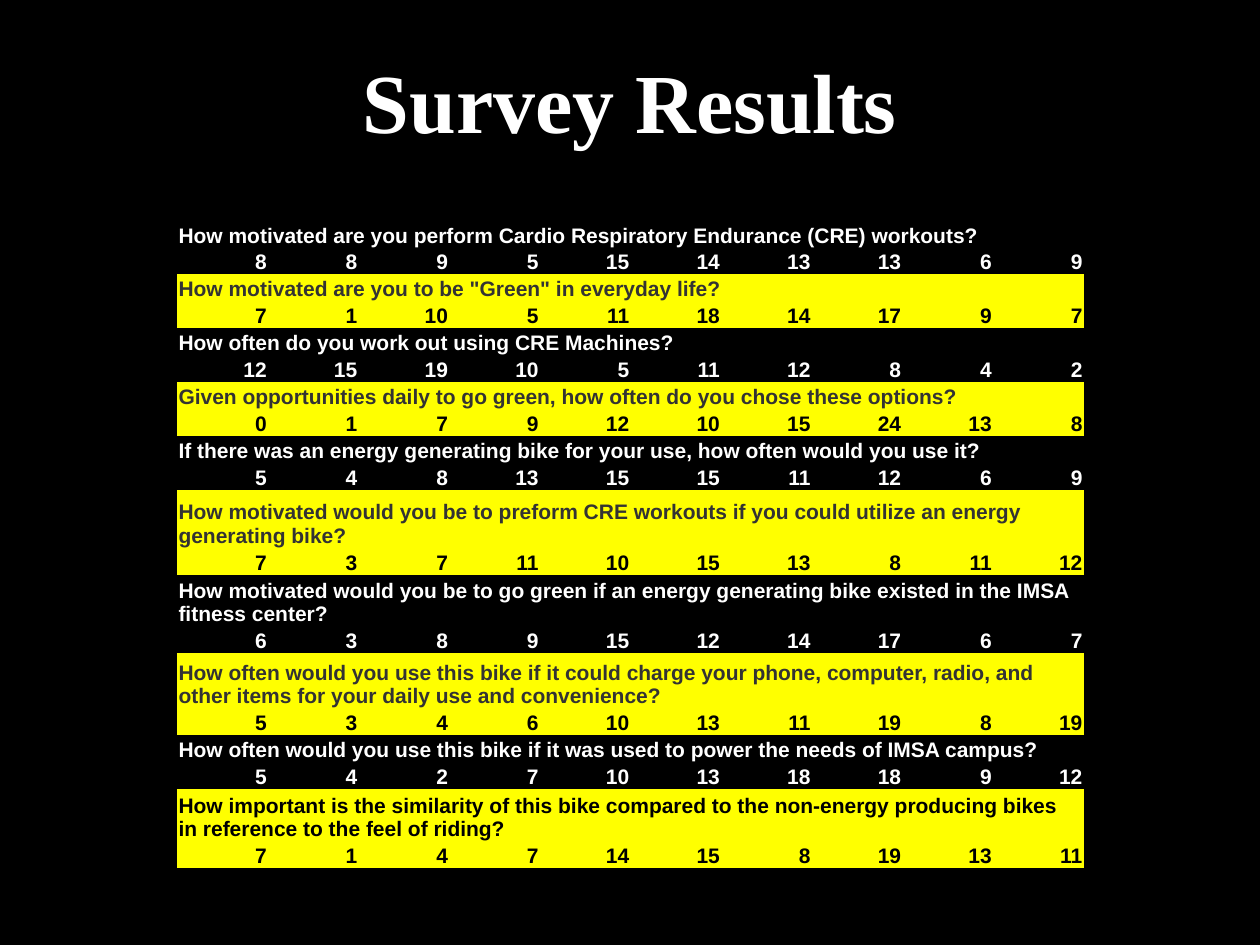
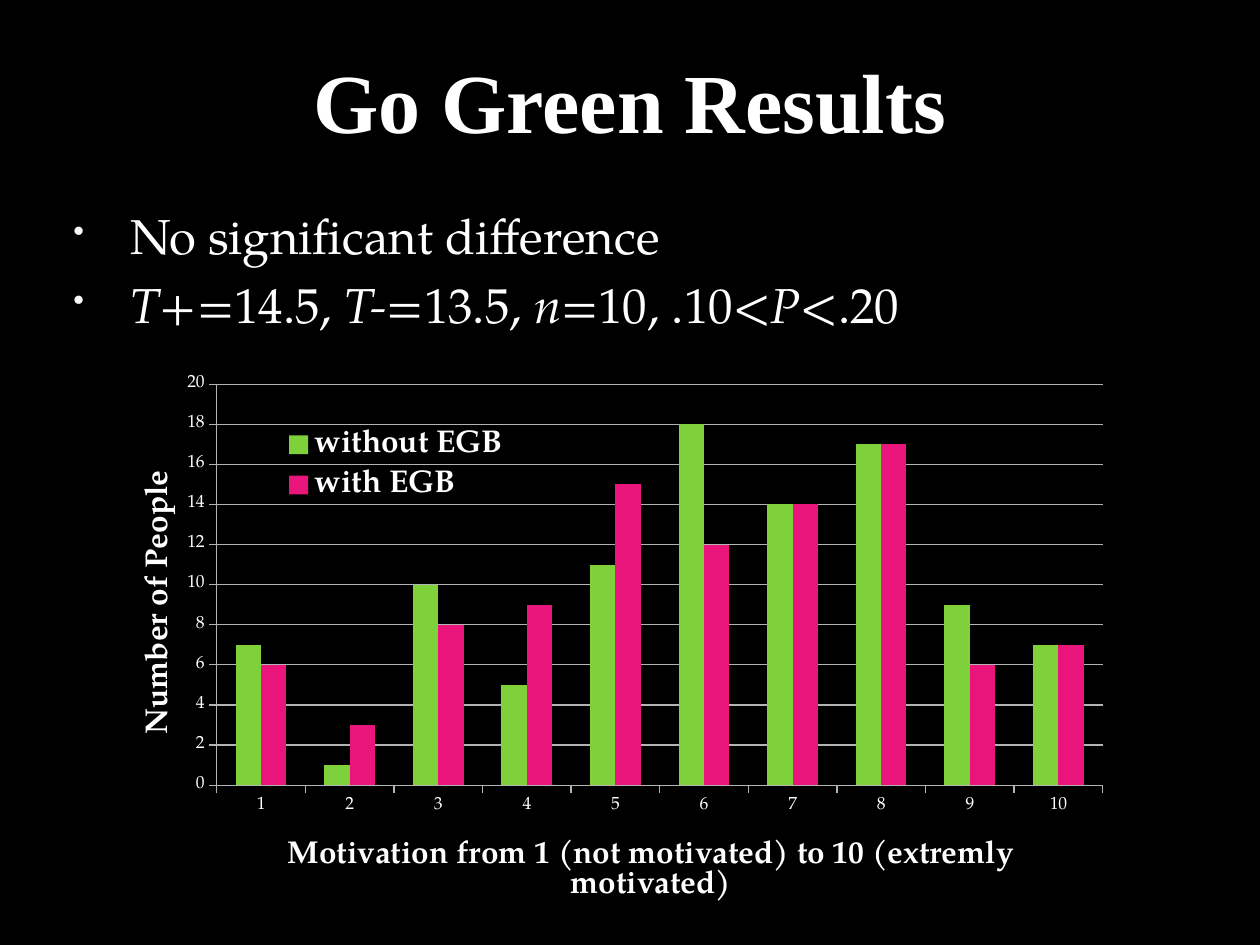
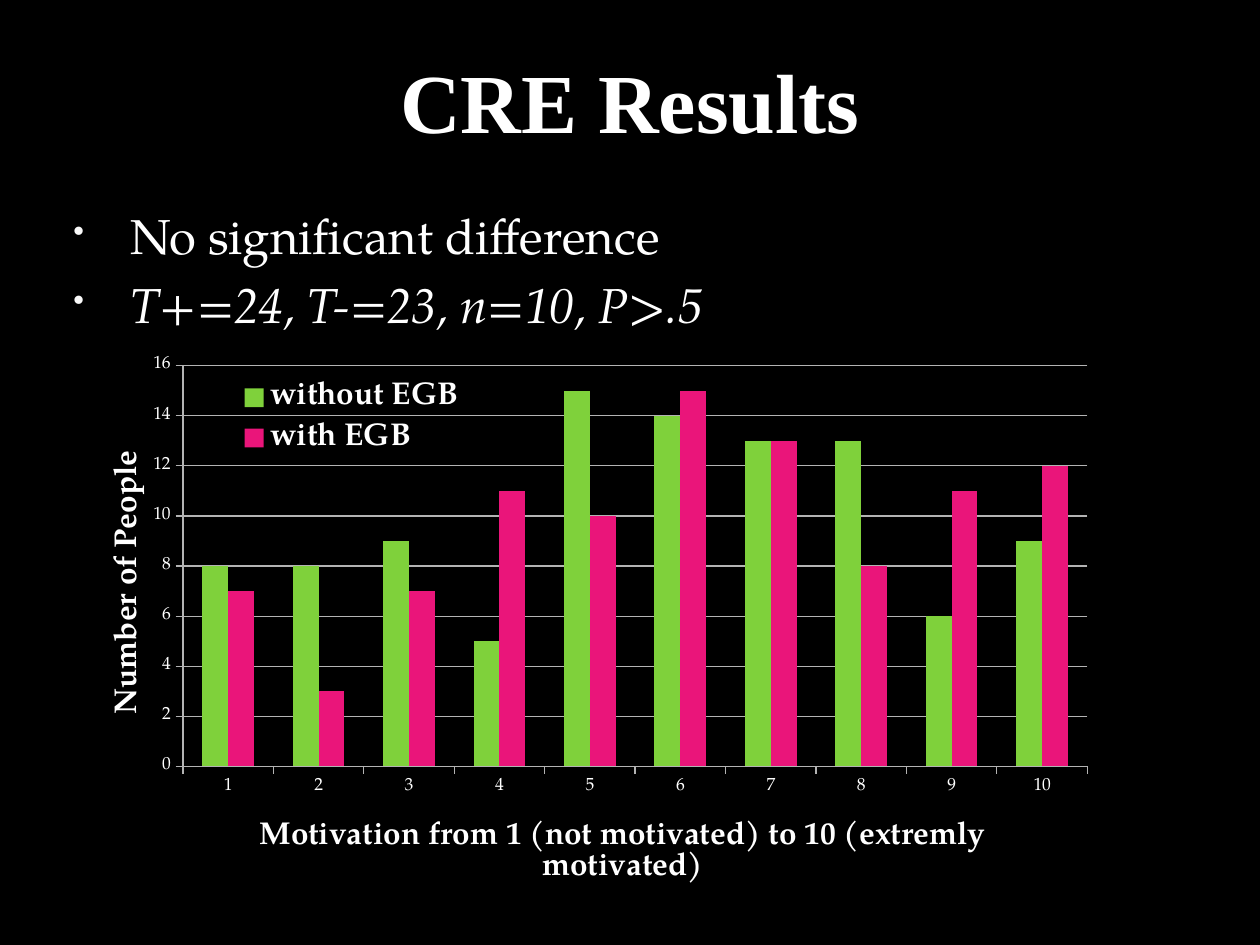
from lxml import etree
from pptx import Presentation
from pptx.chart.data import CategoryChartData
from pptx.dml.color import RGBColor
from pptx.enum.chart import XL_CHART_TYPE, XL_LEGEND_POSITION, XL_TICK_MARK
from pptx.enum.text import MSO_ANCHOR, PP_ALIGN
from pptx.oxml.ns import qn
from pptx.util import Pt

COLUMNS = XL_CHART_TYPE.COLUMN_CLUSTERED
LEGEND_RIGHT = XL_LEGEND_POSITION.RIGHT
TICK_OUT = XL_TICK_MARK.OUTSIDE
MIDDLE, BOTTOM = MSO_ANCHOR.MIDDLE, MSO_ANCHOR.BOTTOM
LEFT, CENTER, RIGHT = PP_ALIGN.LEFT, PP_ALIGN.CENTER, PP_ALIGN.RIGHT

BLACK = RGBColor(0x00, 0x00, 0x00)
WHITE = RGBColor(0xFF, 0xFF, 0xFF)
YELLOW = RGBColor(0xFF, 0xFF, 0x00)
DARK_GRAY = RGBColor(0x33, 0x33, 0x33)
AXIS_GRAY = RGBColor(0xB3, 0xB3, 0xB3)
GREEN = RGBColor(0x7F, 0xD1, 0x3B)
PINK = RGBColor(0xEA, 0x15, 0x7A)
BULLET_COLOR = "F9F9F9"

TITLE_FONT = {"name": "Times New Roman", "size": Pt(48), "bold": True, "color": WHITE}
BODY_FONT = {"name": "TeX Gyre Pagella", "size": Pt(28), "color": WHITE}
CHART_FONT = {"name": "TeX Gyre Pagella", "size": Pt(10), "color": WHITE}
LABEL_FONT = {**CHART_FONT, "size": Pt(18), "bold": True}
TABLE_FONT = {"name": "Arial", "size": Pt(12), "bold": True}
CELL_FORMAT = {"vertical_anchor": BOTTOM, "margin_left": Pt(0.72), "margin_right": Pt(0.72),
               "margin_top": Pt(0.72), "margin_bottom": Pt(0)}
PLAIN_TABLE_STYLE = "{2D5ABB26-0587-4C30-8999-92F81FD0307C}"

SCALE = range(1, 11)
COLUMN_WIDTH = 51.8
ROW_HEIGHT = 15.4

# question, question row height, columns spanned, question colour, answers
SURVEY = [
    ("How motivated are you perform Cardio Respiratory Endurance (CRE) workouts?",
     ROW_HEIGHT, 10, WHITE, (8, 8, 9, 5, 15, 14, 13, 13, 6, 9)),
    ('How motivated are you to be "Green" in everyday life?',
     ROW_HEIGHT, 7, DARK_GRAY, (7, 1, 10, 5, 11, 18, 14, 17, 9, 7)),
    ("How often do you work out using CRE Machines?",
     ROW_HEIGHT, 10, WHITE, (12, 15, 19, 10, 5, 11, 12, 8, 4, 2)),
    ("Given opportunities daily to go green, how often do you chose these options?",
     ROW_HEIGHT, 9, DARK_GRAY, (0, 1, 7, 9, 12, 10, 15, 24, 13, 8)),
    ("If there was an energy generating bike for your use, how often would you use it?",
     ROW_HEIGHT, 10, WHITE, (5, 4, 8, 13, 15, 15, 11, 12, 6, 9)),
    ("How motivated would you be to preform CRE workouts if you could utilize an energy "
     "generating bike?",
     33, 10, DARK_GRAY, (7, 3, 7, 11, 10, 15, 13, 8, 11, 12)),
    ("How motivated would you be to go green if an energy generating bike existed in the IMSA "
     "fitness center?",
     29.6, 10, WHITE, (6, 3, 8, 9, 15, 12, 14, 17, 6, 7)),
    ("How often would you use this bike if it could charge your phone, computer, radio, and "
     "other items for your daily use and convenience?",
     31.5, 10, DARK_GRAY, (5, 3, 4, 6, 10, 13, 11, 19, 8, 19)),
    ("How often would you use this bike if it was used to power the needs of IMSA campus?",
     ROW_HEIGHT, 10, WHITE, (5, 4, 2, 7, 10, 13, 18, 18, 9, 12)),
    ("How important is the similarity of this bike compared to the non-energy producing bikes "
     "in reference to the feel of riding?",
     29.6, 10, BLACK, (7, 1, 4, 7, 14, 15, 8, 19, 13, 11)),
]
CRE_BEFORE, GREEN_BEFORE, CRE_AFTER, GREEN_AFTER = (SURVEY[row][-1] for row in (0, 1, 5, 6))

FINDING = [("No significant difference", False)]
GREEN_STATISTICS = [("T+", True), ("=14.5, ", False), ("T-", True), ("=13.5, ", False),
                    ("n", True), ("=10, .10<", False), ("P", True), ("<.20", False)]
CRE_STATISTICS = [("T+=24, T-=23, n=10, P>.5", True)]


def apply_format(target, values):
    """Set each attribute in values on a font, cell or text frame."""
    for name, value in values.items():
        if name == "color":
            target.color.rgb = value
        else:
            setattr(target, name, value)


def add_span(para, text, values):
    """Append a formatted run of text."""
    span = para.add_run()
    span.text = text
    apply_format(span.font, values)


def add_title(page, text):
    """Add the centred slide title."""
    frame = page.shapes.add_textbox(Pt(36), Pt(12), Pt(648), Pt(90)).text_frame
    apply_format(frame, {"word_wrap": True, "vertical_anchor": MIDDLE})
    frame.paragraphs[0].alignment = CENTER
    add_span(frame.paragraphs[0], text, TITLE_FONT)


def add_bullet(para):
    """Give a paragraph a small hanging bullet."""
    properties = para._p.get_or_add_pPr()
    properties.set("marL", str(Pt(43.2)))
    properties.set("indent", str(Pt(-32.4)))
    color = etree.SubElement(properties, qn("a:buClr"))
    etree.SubElement(color, qn("a:srgbClr"), val=BULLET_COLOR)
    etree.SubElement(properties, qn("a:buSzPct"), val="65000")
    etree.SubElement(properties, qn("a:buChar"), char="•")


def add_bullets(page, lines):
    """Add the bulleted body text, each line a list of (text, italic)."""
    frame = page.shapes.add_textbox(Pt(24), Pt(114), Pt(696), Pt(426)).text_frame
    frame.word_wrap = True
    for number, line in enumerate(lines):
        para = frame.add_paragraph() if number else frame.paragraphs[0]
        add_bullet(para)
        para.space_before = Pt(5.6 if number else 0)
        for text, italic in line:
            add_span(para, text, {**BODY_FONT, "italic": italic})


def format_cell(cell, text, alignment, color, band):
    """Fill one table cell and write its text."""
    apply_format(cell, CELL_FORMAT)
    if band:
        cell.fill.solid()
        cell.fill.fore_color.rgb = YELLOW
    else:
        cell.fill.background()
    para = cell.text_frame.paragraphs[0]
    para.alignment = alignment
    if text:
        add_span(para, text, {**TABLE_FONT, "color": color})
    else:
        etree.SubElement(para._p, qn("a:endParaRPr"), sz="1200")


def add_survey_table(page):
    """Add the table of questions, each followed by its row of answers."""
    frame = page.shapes.add_table(2 * len(SURVEY), len(SCALE), Pt(101.3), Pt(126),
                                  Pt(COLUMN_WIDTH * len(SCALE)), Pt(370.8))
    table = frame.table
    table._tbl.tblPr.find(qn("a:tableStyleId")).text = PLAIN_TABLE_STYLE
    apply_format(table, {"first_row": False, "horz_banding": False})
    for column in table.columns:
        column.width = Pt(COLUMN_WIDTH)
    for number, (question, height, span, color, answers) in enumerate(SURVEY):
        top, band = 2 * number, number % 2 == 1
        table.rows[top].height = Pt(height)
        table.rows[top + 1].height = Pt(ROW_HEIGHT)
        for column, answer in enumerate(answers):
            heading = "" if column else question
            format_cell(table.cell(top, column), heading, LEFT, color, band)
            format_cell(table.cell(top + 1, column), str(answer), RIGHT,
                        BLACK if band else WHITE, band)
        table.cell(top, 0).merge(table.cell(top, span - 1))


def set_layout(element, index, place, inner=False):
    """Place a chart part by fractions of the chart: x, y and maybe width, height."""
    for old in element.findall(qn("c:layout")):
        element.remove(old)
    layout = etree.Element(qn("c:layout"))
    manual = etree.SubElement(layout, qn("c:manualLayout"))
    if inner:
        etree.SubElement(manual, qn("c:layoutTarget"), val="inner")
    for mode in ("c:xMode", "c:yMode"):
        etree.SubElement(manual, qn(mode), val="edge")
    for name, value in zip(("c:x", "c:y", "c:w", "c:h"), place):
        etree.SubElement(manual, qn(name), val=str(value))
    element.insert(index, layout)


def format_axis(axis, title, place):
    """Style an axis and add its title."""
    apply_format(axis, {"major_tick_mark": TICK_OUT, "has_title": True})
    axis.format.line.color.rgb = AXIS_GRAY
    apply_format(axis.tick_labels.font, CHART_FONT)
    add_span(axis.axis_title.text_frame.paragraphs[0], title, LABEL_FONT)
    set_layout(axis.axis_title._element, 1, place)


def add_motivation_chart(page, bounds, plot_place, legend_place, without_bike, with_bike):
    """Add the column chart of motivation without and with the bike."""
    data = CategoryChartData()
    data.categories = [str(level) for level in SCALE]
    data.add_series("without EGB", without_bike)
    data.add_series("with EGB", with_bike)
    chart = page.shapes.add_chart(COLUMNS, *map(Pt, bounds), data).chart
    apply_format(chart.font, CHART_FONT)
    apply_format(chart, {"has_title": False, "has_legend": True})
    apply_format(chart.legend, {"position": LEGEND_RIGHT, "include_in_layout": False})
    apply_format(chart.legend.font, LABEL_FONT)
    set_layout(chart.legend._element, 1, legend_place)
    plot = chart.plots[0]
    apply_format(plot, {"gap_width": 150, "overlap": 0, "vary_by_categories": False})
    for series, color in zip(plot.series, (GREEN, PINK)):
        series.format.fill.solid()
        series.format.fill.fore_color.rgb = color
    format_axis(chart.category_axis,
                "Motivation from 1 (not motivated) to 10 (extremly motivated)", (0.155, 0.86))
    format_axis(chart.value_axis, "Number of People", (0.01, 0.21))
    chart.value_axis.major_gridlines.format.line.color.rgb = AXIS_GRAY
    set_layout(chart._chartSpace.chart.plotArea, 0, plot_place, inner=True)


def main():
    """Build the deck."""
    deck = Presentation()
    apply_format(deck, {"slide_width": Pt(720), "slide_height": Pt(540)})
    background = deck.slide_master.background.fill
    background.solid()
    background.fore_color.rgb = BLACK
    survey, green, cre = (deck.slides.add_slide(deck.slide_layouts[6]) for _ in range(3))

    add_title(survey, "Survey Results")
    add_survey_table(survey)

    add_motivation_chart(green, (72, 198, 576, 322.5), (0.09, 0.067, 0.879, 0.711),
                         (0.148, 0.13, 0.24, 0.16), GREEN_BEFORE, GREEN_AFTER)
    add_bullets(green, [FINDING, GREEN_STATISTICS])
    add_title(green, "Go Green Results")

    add_bullets(cre, [FINDING, CRE_STATISTICS])
    add_motivation_chart(cre, (54, 186, 588, 324), (0.086, 0.071, 0.879, 0.707),
                         (0.13, 0.083, 0.24, 0.16), CRE_BEFORE, CRE_AFTER)
    add_title(cre, "CRE Results")

    deck.save("out.pptx")


if __name__ == "__main__":
    main()
